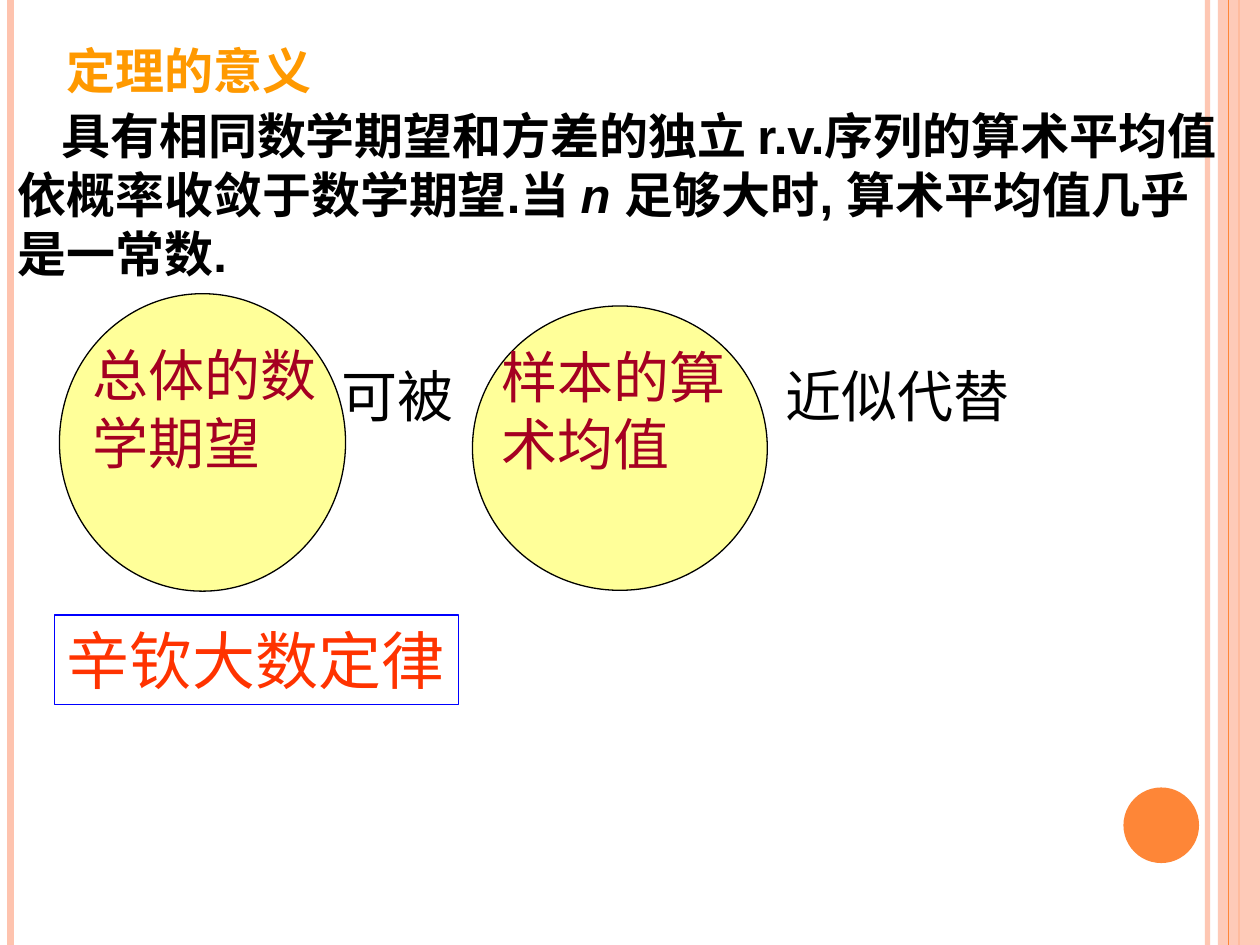
import pptx
import pptx.util
import pptx.dml.color
import pptx.enum.shapes
import pptx.enum.text
import pptx.oxml.ns
import lxml.etree
from dataclasses import dataclass

Pt = pptx.util.Pt
SHAPES = pptx.enum.shapes.MSO_SHAPE


@dataclass(frozen=True)
class Theme:
    orange: str = "FE8637"
    peach: str = "FEC3AE"
    heading: str = "FF9900"
    ink: str = "000000"
    circle: str = "FFFF99"
    circle_text: str = "A50021"
    law: str = "FF3300"
    law_border: str = "0000FF"
    sans: str = "Arial"
    serif: str = "Times New Roman"
    body_size: int = 28
    term_size: int = 32
    law_size: int = 36


THEME = Theme()
WIDTH, HEIGHT = 720, 540


def rgb(code):
    return pptx.dml.color.RGBColor.from_string(code)


def set_alpha(fill, percent):
    color = fill._xPr.find(".//" + pptx.oxml.ns.qn("a:srgbClr"))
    lxml.etree.SubElement(color, pptx.oxml.ns.qn("a:alpha"), val=str(percent * 1000))


def add_figure(slide, kind, box, fill=None, border=None, alpha=100):
    figure = slide.shapes.add_shape(kind, *map(Pt, box))
    figure.shadow.inherit = False
    if fill:
        figure.fill.solid()
        figure.fill.fore_color.rgb = rgb(fill)
        if alpha < 100:
            set_alpha(figure.fill, alpha)
    else:
        figure.fill.background()
    if border:
        figure.line.color.rgb = rgb(border)
        figure.line.width = Pt(0.75)
    else:
        figure.line.fill.background()
    return figure


def add_stripe(slide, x, top, height, color, width, alpha=100):
    stripe = slide.shapes.add_connector(
        pptx.enum.shapes.MSO_CONNECTOR.STRAIGHT, Pt(x), Pt(top), Pt(x), Pt(top + height))
    stripe.line.color.rgb = rgb(color)
    stripe.line.width = Pt(width)
    if alpha < 100:
        set_alpha(stripe.line.fill, alpha)
    lxml.etree.SubElement(stripe._element.spPr, pptx.oxml.ns.qn("a:effectLst"))


def write(frame, runs, font, size, color, wrap=True, **style):
    """Fill a text frame with one paragraph of (text, italic) runs."""
    frame.word_wrap = wrap
    frame.auto_size = pptx.enum.text.MSO_AUTO_SIZE.SHAPE_TO_FIT_TEXT
    paragraph = frame.paragraphs[0]
    paragraph.alignment = pptx.enum.text.PP_ALIGN.LEFT
    for text, italic in runs:
        run = paragraph.add_run()
        run.text = text
        run.font.color.rgb = rgb(color)
        looks = {"name": font, "size": Pt(size), "italic": italic, **style}
        for attribute, value in looks.items():
            setattr(run.font, attribute, value)
    return paragraph


def add_text(slide, box, runs, *args, **style):
    label = slide.shapes.add_textbox(*map(Pt, box))
    return write(label.text_frame, runs, *args, **style)


def draw_margins(slide, box):
    left, top, width, height = box
    right = left + width
    add_stripe(slide, right - 30, top, height, THEME.peach, 3, 93)
    add_stripe(slide, left + 6, top, height, THEME.peach, 4.5)
    add_stripe(slide, right - 12, top, height, THEME.orange, 1.5)
    add_figure(slide, SHAPES.RECTANGLE, (right - 24, top, 24, height), THEME.peach, alpha=87)
    add_stripe(slide, right - 18, top, height, THEME.orange, 0.75)
    add_figure(slide, SHAPES.OVAL, (right - 78, top + 450, 43.2, 43.2), THEME.orange)


def draw_theorem(slide, box):
    left, top, width, height = box
    heading = add_text(slide, (left + 28, top, 180, 51), [("定理的意义", False)],
                       THEME.sans, THEME.body_size, THEME.heading, bold=True)
    heading.line_spacing = 1.3
    meaning = add_text(
        slide, (left, top + 47.5, width, height - 47.5),
        [("具有相同数学期望和方差的独立 r.v.序列的算术平均值依概率收敛于数学期望.当 ", False),
         ("n ", True),
         ("足够大时, 算术平均值几乎是一常数.", False)],
        THEME.sans, THEME.body_size, THEME.ink, bold=True)
    meaning._p.get_or_add_pPr().set("indent", str(Pt(25)))


def draw_circle(slide, box, text, text_offset, text_width):
    left, top = box[:2]
    add_figure(slide, SHAPES.OVAL, box, THEME.circle, THEME.ink)
    dx, dy = text_offset
    add_text(slide, (left + dx, top + dy, text_width, 85), [(text, False)],
             THEME.serif, THEME.term_size, THEME.circle_text)


def draw_replacement(slide, box):
    left, top = box[:2]
    draw_circle(slide, (left + 236, top + 7, 168.5, 162.5), "样本的算术均值", (9.5, 17.5), 143)
    draw_circle(slide, (left, top, 163.5, 170), "总体的数学期望", (11.5, 23.5), 146)
    for text, dx, width, wrap in (("近似代替", 408, 143, False), ("可被", 154, 91, True)):
        add_text(slide, (left + dx, top + 35, width, 45.5), [(text, False)],
                 THEME.serif, THEME.term_size, THEME.ink, wrap=wrap)


def draw_law(slide, box):
    law = add_figure(slide, SHAPES.RECTANGLE, box, border=THEME.law_border)
    write(law.text_frame, [("辛钦大数定律", False)],
          THEME.serif, THEME.law_size, THEME.law, wrap=False)


presentation = pptx.Presentation()
presentation.slide_width, presentation.slide_height = Pt(WIDTH), Pt(HEIGHT)
slide = presentation.slides.add_slide(presentation.slide_layouts[6])

draw_margins(slide, (0, 0, WIDTH, HEIGHT))
draw_theorem(slide, (3, 9.4, 700.5, 156.2))
draw_replacement(slide, (34, 167.8, 551, 170))
draw_law(slide, (31, 351.4, 231, 51.1))

presentation.save("out.pptx")
